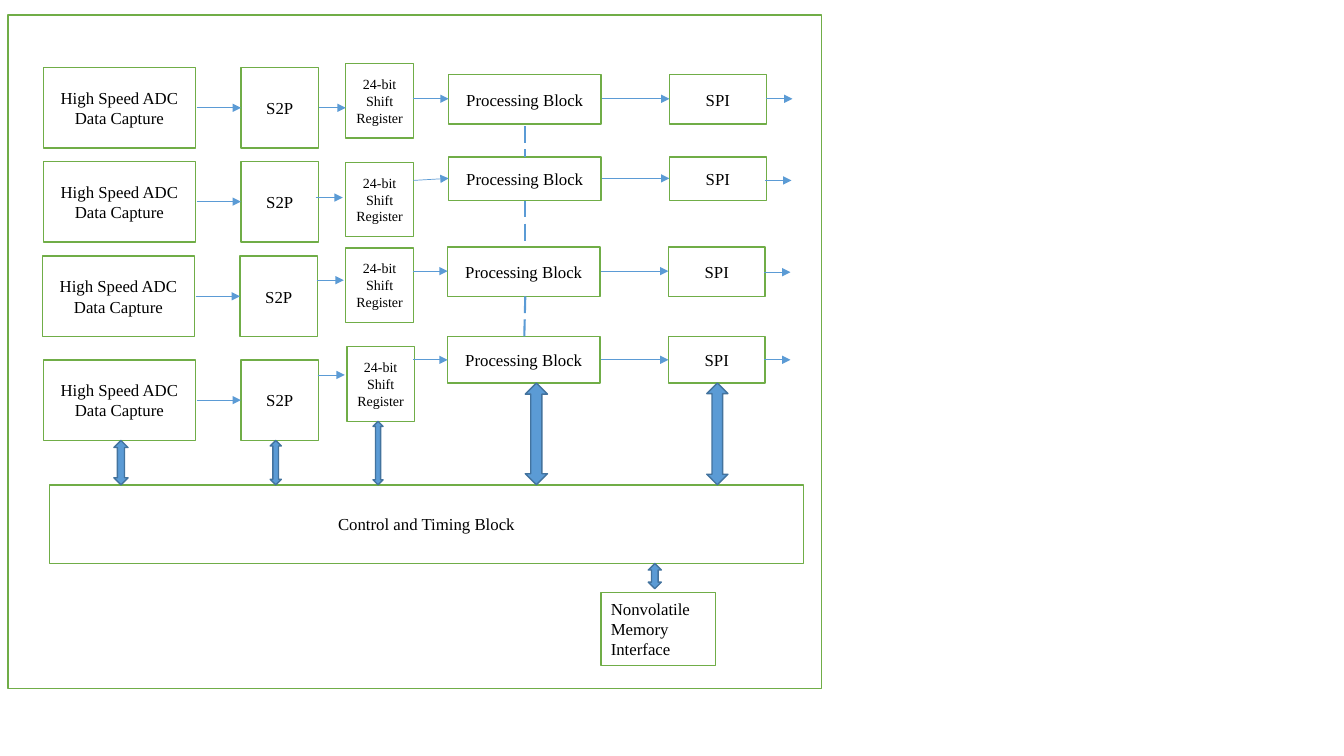
import pptx
import pptx.util
import pptx.dml.color
import pptx.enum.dml
import pptx.enum.shapes
import pptx.enum.text
import pptx.oxml.ns
import lxml.etree

PX = 9144
GREEN, BLUE, DARK_BLUE = "70AD47", "5B9BD5", "43739E"
MSO_SHAPE = pptx.enum.shapes.MSO_SHAPE
ALIGN = pptx.enum.text.PP_ALIGN
rgb = pptx.dml.color.RGBColor.from_string
qn = pptx.oxml.ns.qn

prs = pptx.Presentation()
prs.slide_width, prs.slide_height = 1333 * PX, 750 * PX
slide = prs.slides.add_slide(prs.slide_layouts[6])


def add_box(x, y, w, h, text="", size=12, align=ALIGN.CENTER, inset=10,
            kind=MSO_SHAPE.RECTANGLE, fill="FFFFFF", line=GREEN):
    sp = slide.shapes.add_shape(kind, x * PX, y * PX, w * PX, h * PX)
    sp.shadow.inherit = False
    sp.fill.solid()
    sp.fill.fore_color.rgb = rgb(fill)
    sp.line.color.rgb = rgb(line)
    sp.line.width = pptx.util.Pt(1)
    if text:
        tf = sp.text_frame
        tf.word_wrap = True
        tf.vertical_anchor = pptx.enum.text.MSO_ANCHOR.MIDDLE
        tf.margin_left = tf.margin_right = inset * PX
        tf.text = text
        p = tf.paragraphs[0]
        p.alignment = align
        font = p.runs[0].font
        font.name = "Times New Roman"
        font.size = pptx.util.Pt(size)
        font.color.rgb = rgb("000000")


def add_line(x1, y1, x2, y2, dashed=False):
    cx = slide.shapes.add_connector(pptx.enum.shapes.MSO_CONNECTOR.STRAIGHT,
                                    x1 * PX, y1 * PX, x2 * PX, y2 * PX)
    cx.line.color.rgb = rgb(BLUE)
    cx.line.width = pptx.util.Pt(1.5 if dashed else 0.5)
    if dashed:
        cx.line.dash_style = pptx.enum.dml.MSO_LINE.LONG_DASH
    else:
        ln = cx.line._get_or_add_ln()
        lxml.etree.SubElement(ln, qn("a:tailEnd"), type="triangle")
    lxml.etree.SubElement(cx._element.spPr, qn("a:effectLst"))


add_box(8, 15, 807, 668)

channels = [
    # adc x, adc y, register x, y, processing x, y, h, shift arrow x, y, register arrow y, output x, y
]
channels = [
    dict(adc=(43, 67), reg=(343, 63), proc=(445, 74, 49), shift=(316, 107), load=(98, 98), out=(760, 98)),
    dict(adc=(43, 160), reg=(343, 161), proc=(445, 156, 43), shift=(313, 196), load=(179, 177), out=(759, 179)),
    dict(adc=(42, 254), reg=(343, 246), proc=(444, 245, 49), shift=(314, 278), load=(269, 269), out=(758, 270)),
    dict(adc=(43, 357), reg=(344, 344), proc=(444, 334, 46), shift=(315, 372), load=(357, 357), out=(758, 357)),
]
for channel in channels:
    adc_x, adc_y = channel["adc"]
    reg_x, reg_y = channel["reg"]
    proc_x, proc_y, proc_h = channel["proc"]
    shift_x, shift_y = channel["shift"]
    load_y, proc_mid = channel["load"]
    out_x, out_y = channel["out"]

    add_box(adc_x, adc_y, 151, 80, "High Speed ADC Data Capture")
    add_box(adc_x + 196, adc_y, 77, 80, "S2P")
    add_box(reg_x, reg_y, 67, 74, "24-bit Shift Register", size=10, inset=6)
    add_box(proc_x, proc_y, 151, proc_h, "Processing Block")
    add_box(proc_x + 219, proc_y, 96, proc_h, "SPI")

    add_line(adc_x + 152, adc_y + 40, adc_x + 196, adc_y + 40)
    add_line(shift_x, shift_y, shift_x + 27, shift_y)
    add_line(410, load_y, proc_x, proc_mid)
    add_line(proc_x + 152, proc_mid, proc_x + 219, proc_mid)
    add_line(out_x, out_y, out_x + 26, out_y)

for top, bottom, end_x in [(125, 156, 521), (199, 240, 521), (294, 334, 520)]:
    add_line(521, top, end_x, bottom, dashed=True)

add_box(49, 481, 748, 78, "Control and Timing Block")
add_box(596, 588, 114, 72, "Nonvolatile Memory Interface", align=ALIGN.LEFT)

for x, y, w, h in [(113, 437, 14, 44), (268, 437, 11, 44), (370, 418, 10, 63),
                   (521, 380, 22, 101), (701, 380, 21, 101), (643, 559, 13, 25)]:
    add_box(x, y, w, h, kind=MSO_SHAPE.UP_DOWN_ARROW, fill=BLUE, line=DARK_BLUE)

prs.save("out.pptx")
